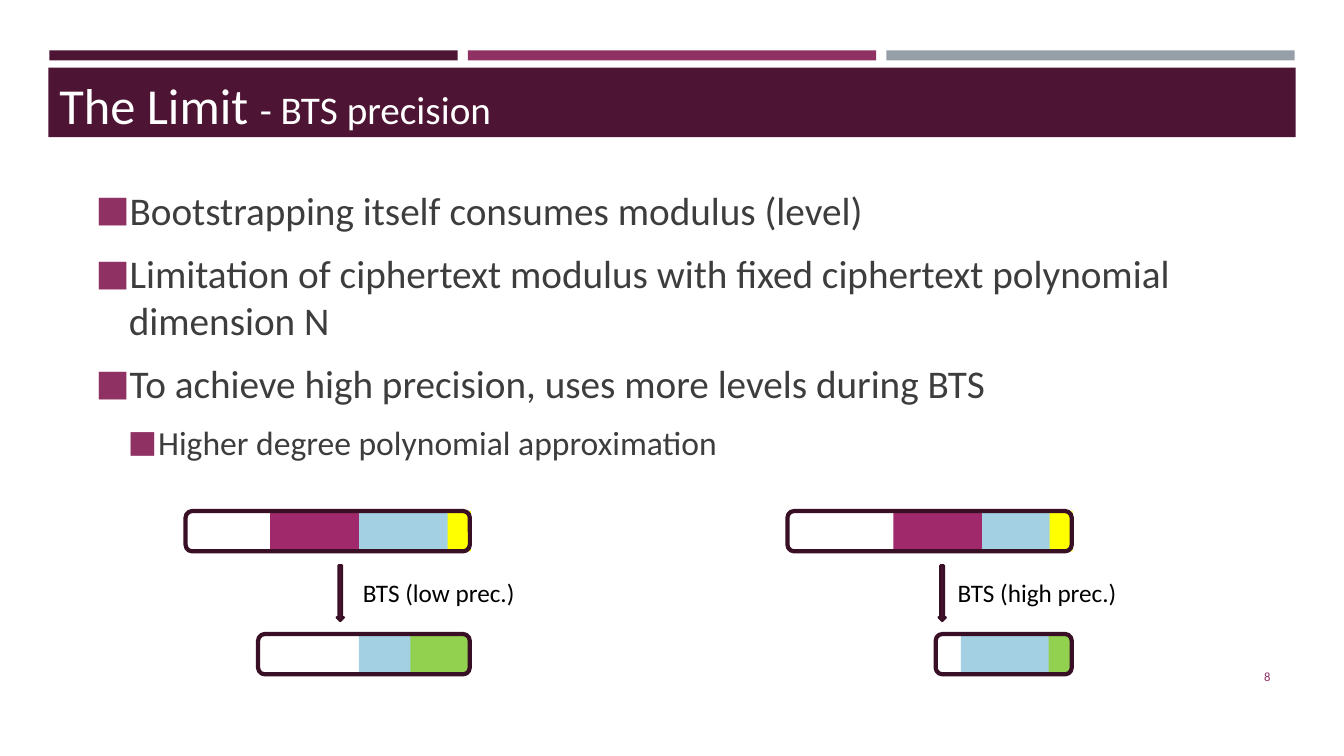
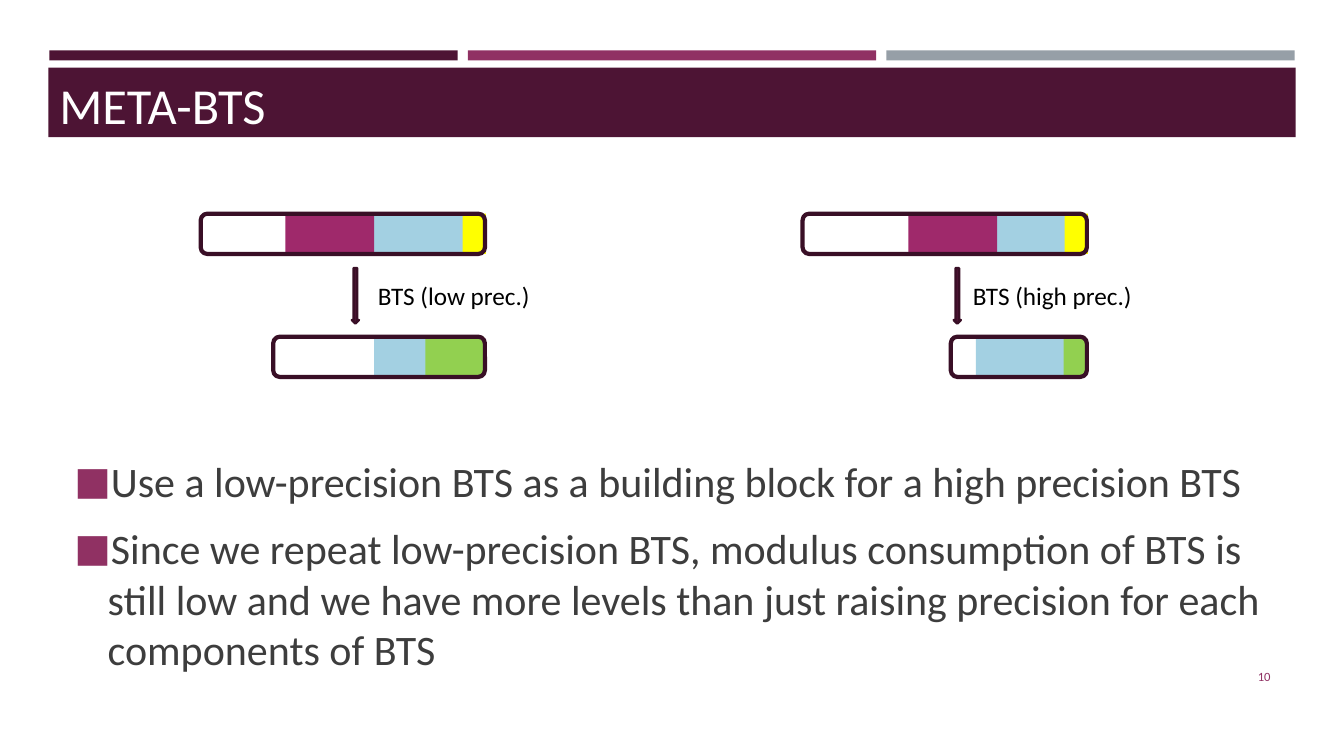
from dataclasses import dataclass
from lxml.etree import SubElement
from pptx import Presentation
from pptx.dml.color import RGBColor
from pptx.enum.shapes import MSO_SHAPE
from pptx.enum.text import MSO_ANCHOR, MSO_AUTO_SIZE, PP_ALIGN
from pptx.oxml.ns import qn
from pptx.util import Inches, Pt


@dataclass(frozen=True)
class Theme:
    font: str = "Calibri"
    dark: str = "4D1434"
    plum: str = "903163"
    gray: str = "969FA7"
    edge: str = "390F26"
    white: str = "FFFFFF"
    black: str = "000000"
    body: str = "3D3D3D"
    yellow: str = "FFFF00"
    blue: str = "A3D0E2"
    berry: str = "9F296B"
    green: str = "92D050"
    title: int = 36
    sub: int = 28
    label: int = 18
    page: int = 9


T = Theme()


def shape(host, kind, box, fill=None, line=None, width=1):
    item = host.add_shape(kind, *map(Inches, box))
    item.shadow.inherit = False
    if fill:
        item.fill.solid()
        item.fill.fore_color.rgb = RGBColor.from_string(fill)
    else:
        item.fill.background()
    if line:
        item.line.color.rgb = RGBColor.from_string(line)
        item.line.width = Pt(width)
    else:
        item.line.fill.background()
    return item


def style(run, size, color):
    run.font.name = T.font
    run.font.size = Pt(size)
    run.font.color.rgb = RGBColor.from_string(color)


def text(host, box, words, size, color, anchor=MSO_ANCHOR.TOP, grow=False):
    frame = host.add_textbox(*map(Inches, box)).text_frame
    frame.word_wrap = True
    frame.vertical_anchor = anchor
    frame.auto_size = MSO_AUTO_SIZE.SHAPE_TO_FIT_TEXT if grow else MSO_AUTO_SIZE.NONE
    frame.text = words
    for para in frame.paragraphs:
        for run in para.runs:
            style(run, size, color)
    return frame


def bullet(para, size, left, hang):
    para.space_before = Pt(round(size * 0.2, 1))
    para.space_after = Pt(6)
    props = para._p.get_or_add_pPr()
    props.set("marL", str(Inches(left)))
    props.set("indent", str(-Inches(hang)))
    tint = SubElement(props, qn("a:buClr"))
    SubElement(tint, qn("a:srgbClr")).set("val", T.plum)
    SubElement(props, qn("a:buSzPct")).set("val", "92000")
    SubElement(props, qn("a:buFont")).set("typeface", T.font)
    SubElement(props, qn("a:buChar")).set("char", "■")
    for run in para.runs:
        style(run, size, T.body)


# Bands, title and page number
def base(deck, title, page, sub=None):
    slide = deck.slides.add_slide(deck.slide_layouts[6])
    host = slide.shapes
    for col, color in enumerate((T.dark, T.plum, T.gray)):
        shape(host, MSO_SHAPE.RECTANGLE, (0.49 + col * 4.15, 0.5, 4.05, 0.1), color)
    shape(host, MSO_SHAPE.RECTANGLE, (0.48, 0.67, 12.37, 0.69), T.dark)
    frame = text(host, (0.49, 0.69, 12.35, 0.71), title, T.title, T.white, grow=True)
    if sub:
        run = frame.paragraphs[0].add_run()
        run.text = sub
        style(run, T.sub, T.white)
    frame = text(host, (11.55, 6.51, 1.15, 0.4), page, T.page, T.plum, MSO_ANCHOR.MIDDLE)
    frame.paragraphs[0].alignment = PP_ALIGN.RIGHT
    return slide


# Bulleted body: each item is (words, size, left indent, hanging indent)
def points(slide, box, items):
    words = "\n".join(item[0] for item in items)
    frame = text(slide.shapes, box, words, items[0][1], T.body, MSO_ANCHOR.MIDDLE)
    for para, item in zip(frame.paragraphs, items):
        bullet(para, *item[1:])


# One bar: blocks are (offset, width, color), framed flush right
def bar(host, x, y, wide, blocks):
    for off, width, color in blocks:
        shape(host, MSO_SHAPE.RECTANGLE, (x + off, y, width, TALL), color)
    box = (x + FULL - wide, y, wide, TALL)
    shape(host, MSO_SHAPE.ROUNDED_RECTANGLE, box, line=T.edge, width=3)


# Bar before, arrow with label, bar after
def flow(host, x, y, case):
    bar(host, x, y, FULL, (
        (1.95, BLOCK, T.yellow),
        (1.72, BLOCK, T.blue),
        (case.plum, BLOCK, T.berry),
    ))
    bar(host, x, y + 1.22, case.wide, (
        (1.72, BLOCK, T.blue),
        (FULL - 0.01 - case.green, case.green, T.green),
    ))
    shape(host, MSO_SHAPE.DOWN_ARROW, (x + 1.5, y + 0.54, 0.07, 0.55), T.dark, T.edge, 1.75)
    text(host, (x + case.left, y + 0.61, case.span, 0.4), case.label,
         T.label, T.black, grow=True)


@dataclass(frozen=True)
class Case:
    label: str
    plum: float
    wide: float
    green: float
    left: float
    span: float


TALL, FULL, BLOCK = 0.4, 2.82, 0.88
LOW = Case("BTS (low prec.)", 0.84, 2.1, 0.58, 1.66, 1.72)
HIGH = Case("BTS (high prec.)", 1.05, 1.35, 0.22, 1.59, 1.8)


# Low and high precision side by side
def pair(slide, x, y):
    group = slide.shapes.add_group_shape().shapes
    for col, case in enumerate((LOW, HIGH)):
        flow(group, x + col * 5.97, y, case)


def limit(deck):
    slide = base(deck, "The Limit ", "8", "- BTS precision")
    main, minor = (28, 0.69, 0.33), (24, 0.98, 0.3)
    points(slide, (0.49, 1.79, 12.06, 2.85), (
        ("Bootstrapping itself consumes modulus (level)", *main),
        ("Limitation of ciphertext modulus with fixed ciphertext polynomial dimension N", *main),
        ("To achieve high precision, uses more levels during BTS", *main),
        ("Higher degree polynomial approximation", *minor),
    ))
    pair(slide, 1.84, 5.07)


def meta(deck):
    slide = base(deck, "META-BTS", "10")
    main = (30, 0.33, 0.33)
    points(slide, (0.64, 4.2, 12.06, 2.81), (
        ("Use a low-precision BTS as a building block for a high precision BTS", *main),
        ("Since we repeat low-precision BTS, modulus consumption of BTS is still low "
         "and we have more levels than just raising precision for each components of BTS", *main),
    ))
    pair(slide, 1.99, 2.12)


deck = Presentation()
deck.slide_width, deck.slide_height = Inches(13.33), Inches(7.5)
limit(deck)
meta(deck)
deck.save("out.pptx")
